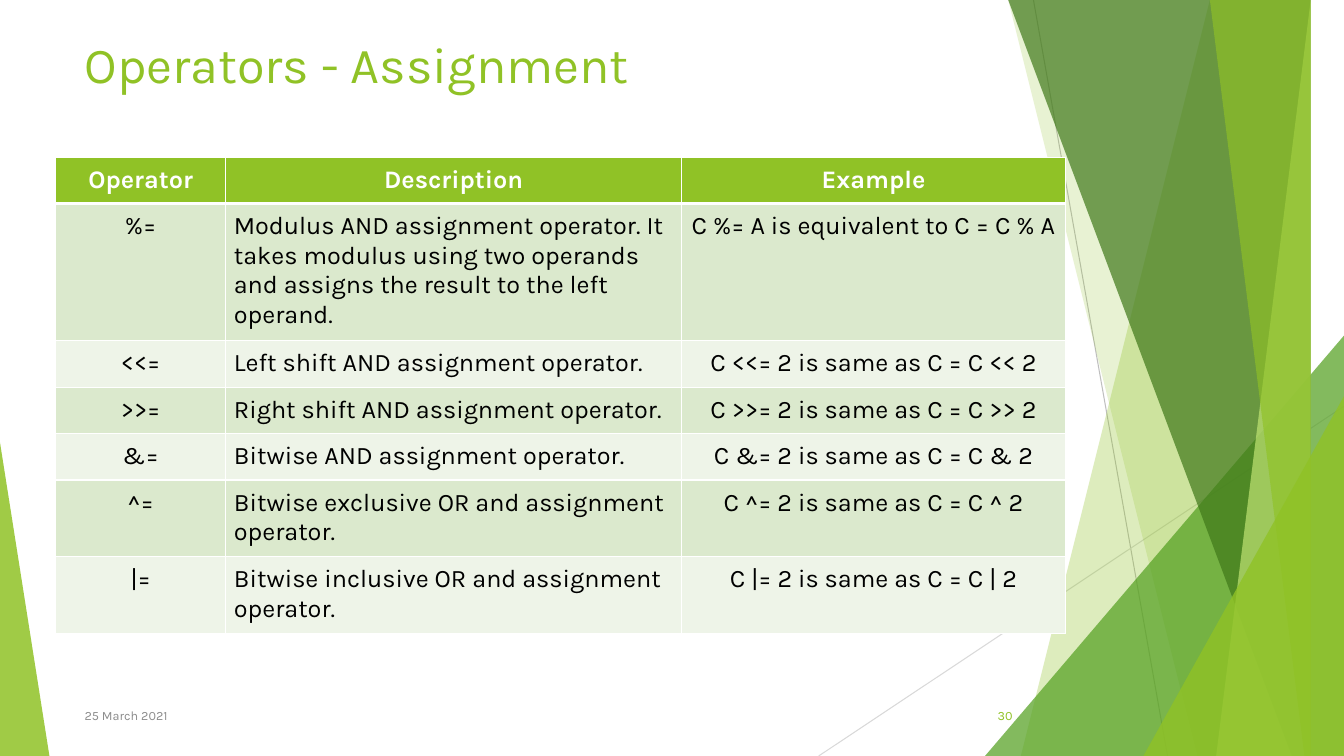
from dataclasses import dataclass

from lxml import etree
from pptx import Presentation
from pptx.dml.color import RGBColor
from pptx.enum.shapes import MSO_CONNECTOR, MSO_SHAPE
from pptx.enum.text import MSO_ANCHOR, PP_ALIGN
from pptx.oxml.ns import qn
from pptx.util import Inches, Pt

LEFT, CENTER, RIGHT = PP_ALIGN.LEFT, PP_ALIGN.CENTER, PP_ALIGN.RIGHT
TOP, MIDDLE = MSO_ANCHOR.TOP, MSO_ANCHOR.MIDDLE
STRAIGHT = MSO_CONNECTOR.STRAIGHT
TRIANGLE = MSO_SHAPE.ISOSCELES_TRIANGLE

FONT = "Karla"
GREEN, WHITE, BLACK, GREY = "90C226", "FFFFFF", "000000", "8C8C8C"
BANDS = ("DBE9CD", "EEF4E8")
WIDTH, HEIGHT, BLEED = 13.33, 7.5, -0.01
LINE_HEIGHT, ROW_PADDING, CELL_INSET = 0.295, 0.165, 0.08


@dataclass
class Ray:
    x1: float
    y1: float
    x2: float
    y2: float
    color: str


@dataclass
class Facet:
    """A band that runs from a slanted left side to the right slide edge."""
    top_x: float
    bottom_x: float
    color: str
    opacity: int


@dataclass
class Wedge:
    """A triangle on the bottom edge; apex is 0 for left and 1 for right."""
    x: float
    y: float
    w: float
    apex: int
    color: str
    opacity: int


@dataclass
class Operator:
    symbol: str
    description: str
    example: str
    lines: int


BACKDROP = [
    Ray(10.25, 0, 11.58, HEIGHT, "BFBFBF"),
    Ray(WIDTH, 4.03, 8.12, HEIGHT, "D9D9D9"),
    Facet(12.28, 10.04, GREEN, 30),
    Facet(10.5, 11.83, GREEN, 20),
    Wedge(9.77, 3.33, 3.56, 1, "54A021", 72),
    Facet(10.21, 12.91, "3F7819", 70),
    Facet(13.03, 11.92, "C0E474", 70),
    Facet(11.96, 13.18, GREEN, 65),
    Wedge(11.34, 3.93, 1.99, 1, GREEN, 80),
    Wedge(0, 4.39, 0.49, 0, GREEN, 85),
]

HEADER = Operator("Operator", "Description", "Example", 1)
OPERATORS = [
    Operator("%=", "Modulus AND assignment operator. It takes modulus using two "
             "operands and assigns the result to the left operand.",
             "C %= A is equivalent to C = C % A", 4),
    Operator("<<=", "Left shift AND assignment operator.",
             "C <<= 2 is same as C = C << 2", 1),
    Operator(">>=", "Right shift AND assignment operator.",
             "C >>= 2 is same as C = C >> 2", 1),
    Operator("&=", "Bitwise AND assignment operator.",
             "C &= 2 is same as C = C & 2", 1),
    Operator("^=", "Bitwise exclusive OR and assignment operator.",
             "C ^= 2 is same as C = C ^ 2", 2),
    Operator("|=", "Bitwise inclusive OR and assignment operator.",
             "C |= 2 is same as C = C | 2", 2),
]
COLUMN_WIDTHS = (1.69, 4.52, 3.81)


def rgb(color: str) -> RGBColor:
    return RGBColor.from_string(color)


def write(tf, text: str, *, size: float, color: str, bold: bool = False,
          align=LEFT) -> None:
    tf.word_wrap = True
    p = tf.paragraphs[0]
    p.alignment = align
    r = p.add_run()
    r.text = text
    r.font.name = FONT
    r.font.size = Pt(size)
    r.font.bold = bold
    r.font.color.rgb = rgb(color)


def add_text(s, x: float, y: float, w: float, h: float, text: str, *,
             anchor=MIDDLE, **style) -> None:
    sp = s.shapes.add_textbox(Inches(x), Inches(y), Inches(w), Inches(h))
    sp.text_frame.vertical_anchor = anchor
    write(sp.text_frame, text, **style)


def paint(sp, color: str, opacity: int) -> None:
    """Give a shape a see-through fill, no outline and no shadow."""
    sp.shadow.inherit = False
    sp.line.fill.background()
    sp.fill.solid()
    sp.fill.fore_color.rgb = rgb(color)
    clr = sp.fill._xPr.find(qn("a:solidFill"))[0]
    etree.SubElement(clr, qn("a:alpha")).set("val", str(opacity * 1000))


def add_ray(s, ray: Ray) -> None:
    cn = s.shapes.add_connector(STRAIGHT, Inches(ray.x1), Inches(ray.y1),
                                Inches(ray.x2), Inches(ray.y2))
    cn.line.color.rgb = rgb(ray.color)
    cn.line.width = Pt(0.75)
    etree.SubElement(cn._element.spPr, qn("a:effectLst"))


def add_facet(s, facet: Facet) -> None:
    fb = s.shapes.build_freeform(facet.top_x, BLEED, scale=Inches(1))
    fb.add_line_segments([(WIDTH, BLEED), (WIDTH, HEIGHT),
                          (facet.bottom_x, HEIGHT)], close=True)
    paint(fb.convert_to_shape(), facet.color, facet.opacity)


def add_wedge(s, wedge: Wedge) -> None:
    sp = s.shapes.add_shape(TRIANGLE, Inches(wedge.x), Inches(wedge.y),
                            Inches(wedge.w), Inches(HEIGHT - wedge.y))
    sp.adjustments[0] = wedge.apex
    paint(sp, wedge.color, wedge.opacity)


def set_borders(cell, top: float, bottom: float) -> None:
    tcPr = cell._tc.get_or_add_tcPr()
    sides = (("a:lnL", 1), ("a:lnR", 1), ("a:lnT", top), ("a:lnB", bottom))
    for i, (tag, width) in enumerate(sides):
        ln = etree.Element(qn(tag), w=str(Pt(width)))
        fill = etree.SubElement(ln, qn("a:solidFill"))
        etree.SubElement(fill, qn("a:srgbClr"), val=WHITE)
        tcPr.insert(i, ln)


def add_operator_table(s, x: float, y: float) -> None:
    rows = [HEADER, *OPERATORS]
    heights = [ROW_PADDING + LINE_HEIGHT * row.lines for row in rows]
    table = s.shapes.add_table(len(rows), len(COLUMN_WIDTHS), Inches(x), Inches(y),
                               Inches(sum(COLUMN_WIDTHS)), Inches(sum(heights))).table
    for column, width in zip(table.columns, COLUMN_WIDTHS):
        column.width = Inches(width)
    for i, row in enumerate(rows):
        table.rows[i].height = Inches(heights[i])
        header = i == 0
        for j, text in enumerate((row.symbol, row.description, row.example)):
            cell = table.cell(i, j)
            cell.margin_left = cell.margin_right = Inches(CELL_INSET)
            cell.margin_top = cell.margin_bottom = Inches(CELL_INSET)
            cell.vertical_anchor = TOP
            cell.fill.solid()
            cell.fill.fore_color.rgb = rgb(GREEN if header else BANDS[(i - 1) % 2])
            set_borders(cell, 3 if i == 1 else 1, 3 if header else 1)
            write(cell.text_frame, text, size=18, bold=header,
                  color=WHITE if header else BLACK,
                  align=LEFT if j == 1 and not header else CENTER)


def main() -> None:
    prs = Presentation()
    prs.slide_width, prs.slide_height = Inches(WIDTH), Inches(HEIGHT)
    s = prs.slides.add_slide(prs.slide_layouts[6])
    draw = {Ray: add_ray, Facet: add_facet, Wedge: add_wedge}
    for part in BACKDROP:
        draw[type(part)](s, part)
    add_text(s, 0.74, 0.28, 9.4, 0.73, "Operators - Assignment",
             anchor=TOP, size=36, color=GREEN)
    add_text(s, 9.39, 6.9, 0.75, 0.4, "30", size=9, color=GREEN, align=RIGHT)
    add_text(s, 0.74, 6.9, 6.89, 0.4, "25 March 2021", size=9, color=GREY)
    add_operator_table(s, 0.55, 1.56)
    prs.save("out.pptx")


if __name__ == "__main__":
    main()
